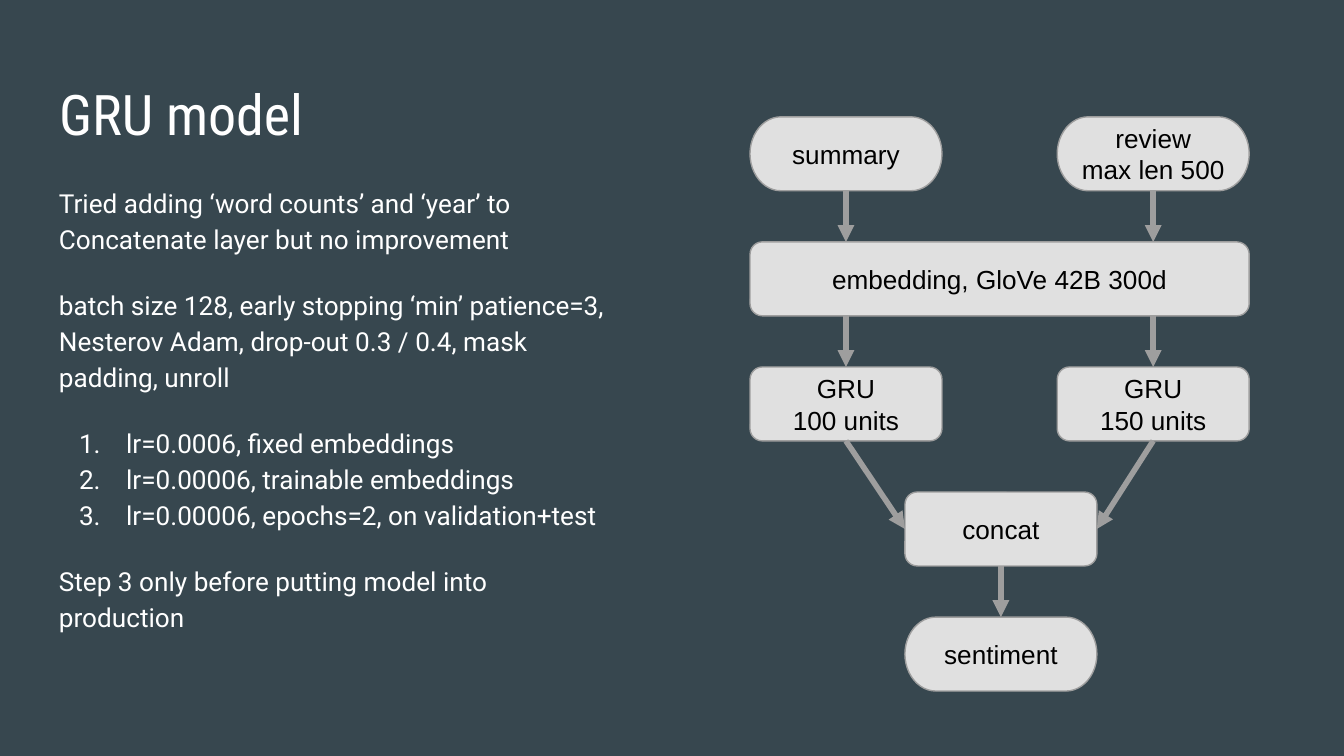
from pptx import Presentation
from pptx.dml.color import RGBColor
from pptx.enum.shapes import MSO_CONNECTOR, MSO_SHAPE
from pptx.enum.text import MSO_ANCHOR, MSO_AUTO_SIZE, PP_ALIGN
from pptx.oxml.ns import qn
from pptx.util import Pt
from lxml import etree

TERMINATOR = MSO_SHAPE.FLOWCHART_TERMINATOR
ROUNDED = MSO_SHAPE.ROUNDED_RECTANGLE
STRAIGHT = MSO_CONNECTOR.STRAIGHT
LEFT, CENTER = PP_ALIGN.LEFT, PP_ALIGN.CENTER
TOP, MIDDLE = MSO_ANCHOR.TOP, MSO_ANCHOR.MIDDLE
NO_AUTOFIT = MSO_AUTO_SIZE.NONE
TOP_SITE, LEFT_SITE, BOTTOM_SITE, RIGHT_SITE = range(4)

COLORS = {
    "background": "37474F",
    "light_text": "FFFFFF",
    "node_text": "000000",
    "node": "E0E0E0",
    "line": "9E9E9E",
}
TITLE_FONT, BODY_FONT, NODE_FONT = "Roboto Condensed", "Roboto", "Arial"
TEXT_LEFT = 24.5
NODE_WIDTH, NODE_HEIGHT = 102.8, 39.6
LEFT_COLUMN, MIDDLE_COLUMN, RIGHT_COLUMN = 401.8, 484.8, 566.4
FIRST_ROW, ROW_PITCH = 62.6, 67

BODY = [
    ("Tried adding ‘word counts’ and ‘year’ to Concatenate layer but no improvement", 0, False),
    ("batch size 128, early stopping ‘min’ patience=3, Nesterov Adam, "
     "drop-out 0.3 / 0.4, mask padding, unroll", 16, False),
    ("lr=0.0006, fixed embeddings", 16, True),
    ("lr=0.00006, trainable embeddings", 0, True),
    ("lr=0.00006, epochs=2, on validation+test", 0, True),
    ("Step 3 only before putting model into production", 16, False),
]


def color(name):
    return RGBColor.from_string(COLORS[name])


def set_frame(frame, anchor):
    frame.word_wrap = True
    frame.auto_size = NO_AUTOFIT
    frame.vertical_anchor = anchor
    frame.margin_left = frame.margin_right = Pt(7.2)
    frame.margin_top = frame.margin_bottom = Pt(7.2)


def style_paragraph(paragraph, font_name, size, color_name, alignment):
    paragraph.alignment = alignment
    paragraph.font.name = font_name
    paragraph.font.size = Pt(size)
    paragraph.font.color.rgb = color(color_name)


def number_paragraph(paragraph):
    properties = paragraph._p.get_or_add_pPr()
    properties.set("marL", str(Pt(36)))
    properties.set("indent", str(-Pt(25.2)))
    numbering = etree.Element(qn("a:buAutoNum"), type="arabicPeriod")
    properties.find(qn("a:defRPr")).addprevious(numbering)


def add_title(slide, text):
    title = slide.shapes.title
    title.left, title.top = Pt(TEXT_LEFT), Pt(35.3)
    title.width, title.height = Pt(671), Pt(45.4)
    title.text_frame.text = text
    set_frame(title.text_frame, TOP)
    style_paragraph(title.text_frame.paragraphs[0], TITLE_FONT, 30, "light_text", LEFT)


def add_body(slide):
    box = slide.shapes.add_textbox(Pt(TEXT_LEFT), Pt(90.7), Pt(314.6), Pt(269.3))
    frame = box.text_frame
    set_frame(frame, TOP)
    frame.text = "\n".join(text for text, _, _ in BODY)
    for paragraph, (_, space_before, numbered) in zip(frame.paragraphs, BODY):
        style_paragraph(paragraph, BODY_FONT, 14, "light_text", LEFT)
        paragraph.line_spacing = 1.15
        paragraph.space_before = Pt(space_before)
        if numbered:
            number_paragraph(paragraph)


def add_node(slide, kind, left, row, text, width=NODE_WIDTH):
    top = FIRST_ROW + row * ROW_PITCH
    shape = slide.shapes.add_shape(kind, Pt(left), Pt(top), Pt(width), Pt(NODE_HEIGHT))
    shape.shadow.inherit = False
    shape.fill.solid()
    shape.fill.fore_color.rgb = color("node")
    shape.line.color.rgb = color("line")
    shape.line.width = Pt(0.75)
    set_frame(shape.text_frame, MIDDLE)
    shape.text_frame.text = text
    for paragraph in shape.text_frame.paragraphs:
        style_paragraph(paragraph, NODE_FONT, 14, "node_text", CENTER)
    return shape


def add_arrow(slide, begin_x, begin_y, end_x, end_y):
    arrow = slide.shapes.add_connector(STRAIGHT, begin_x, begin_y, end_x, end_y)
    arrow.line.color.rgb = color("line")
    arrow.line.width = Pt(3)
    etree.SubElement(arrow.line._get_or_add_ln(), qn("a:tailEnd"), type="triangle")
    etree.SubElement(arrow._element.spPr, qn("a:effectLst"))
    return arrow


def add_joined_arrow(slide, source, target, target_site=TOP_SITE):
    arrow = add_arrow(slide, 0, 0, 0, 0)
    arrow.begin_connect(source, BOTTOM_SITE)
    arrow.end_connect(target, target_site)


def add_branch(slide, source, embedding, unit):
    center = source.left + source.width // 2
    into = add_arrow(slide, center, source.top + source.height, center, embedding.top)
    into.begin_connect(source, BOTTOM_SITE)
    out = add_arrow(slide, center, embedding.top + embedding.height, center, unit.top)
    out.end_connect(unit, TOP_SITE)


def add_diagram(slide):
    summary = add_node(slide, TERMINATOR, LEFT_COLUMN, 0, "summary")
    review = add_node(slide, TERMINATOR, RIGHT_COLUMN, 0, "review\nmax len 500")
    embedding = add_node(slide, ROUNDED, LEFT_COLUMN, 1, "embedding, GloVe 42B 300d",
                         RIGHT_COLUMN + NODE_WIDTH - LEFT_COLUMN)
    summary_unit = add_node(slide, ROUNDED, LEFT_COLUMN, 2, "GRU\n100 units")
    review_unit = add_node(slide, ROUNDED, RIGHT_COLUMN, 2, "GRU\n150 units")
    concat = add_node(slide, ROUNDED, MIDDLE_COLUMN, 3, "concat")
    sentiment = add_node(slide, TERMINATOR, MIDDLE_COLUMN, 4, "sentiment")

    add_branch(slide, summary, embedding, summary_unit)
    add_branch(slide, review, embedding, review_unit)
    add_joined_arrow(slide, summary_unit, concat, LEFT_SITE)
    add_joined_arrow(slide, review_unit, concat, RIGHT_SITE)
    add_joined_arrow(slide, concat, sentiment)


def main():
    presentation = Presentation()
    presentation.slide_width, presentation.slide_height = Pt(720), Pt(405)
    slide = presentation.slides.add_slide(presentation.slide_layouts.get_by_name("Title Only"))
    slide.background.fill.solid()
    slide.background.fill.fore_color.rgb = color("background")
    add_title(slide, "GRU model")
    add_body(slide)
    add_diagram(slide)
    presentation.save("out.pptx")


if __name__ == "__main__":
    main()
